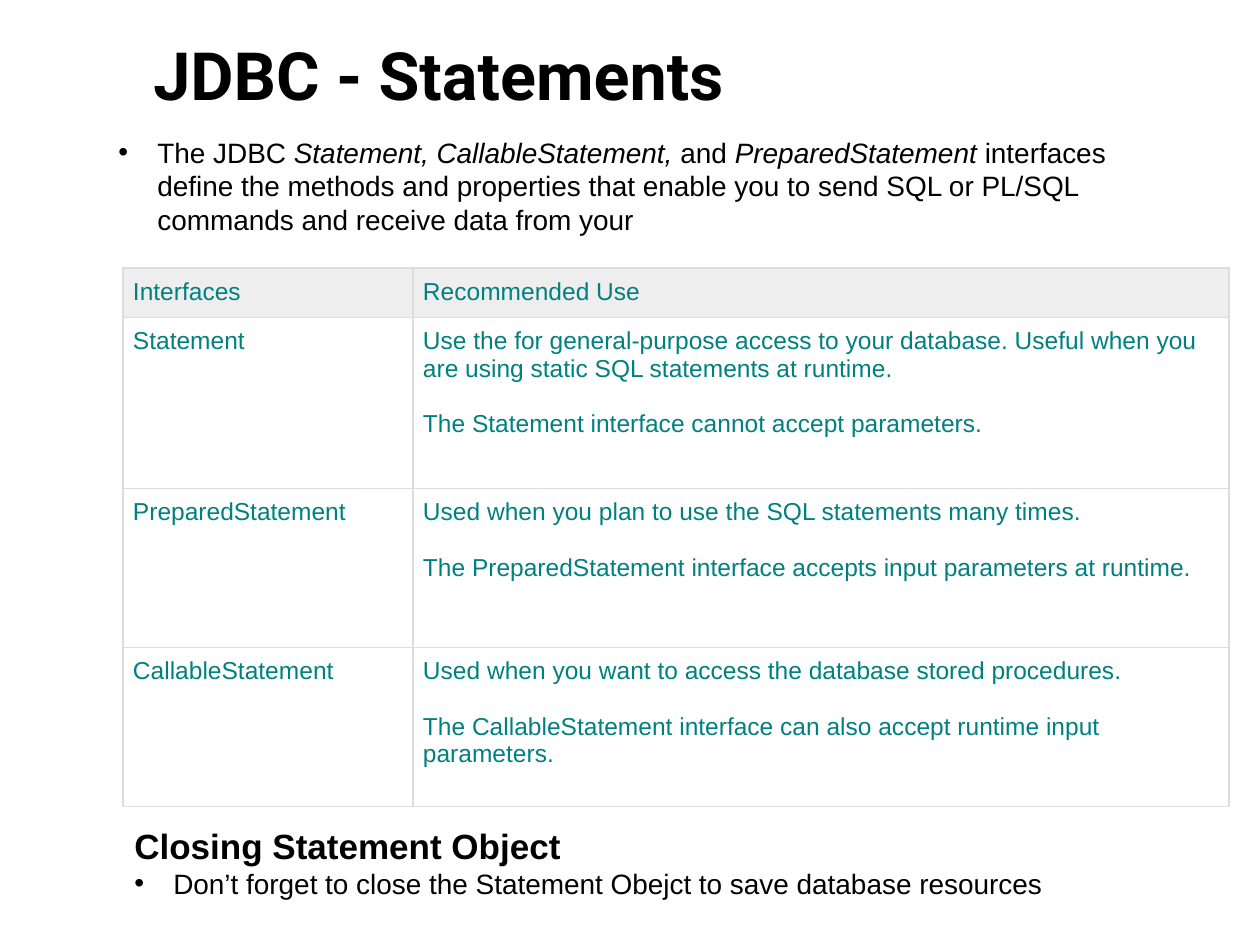
from lxml.etree import SubElement
from pptx import Presentation
from pptx.dml.color import RGBColor
from pptx.enum.text import MSO_ANCHOR
from pptx.oxml.ns import qn
from pptx.util import Pt

PX = 914400 / 126
COLORS = {"text": "000000", "cell": "008080", "head": "EEEEEE",
          "body": "FFFFFF", "rule": "DDDDDD"}

TITLE = "JDBC - Statements"
INTRO = [  # text, italic
    ("The JDBC ", False),
    ("Statement, CallableStatement,", True),
    (" and ", False),
    ("PreparedStatement", True),
    (" interfaces define the methods and properties that enable you to send "
     "SQL or PL/SQL commands and receive data from your", False),
]
ROWS = [  # interface, paragraphs on its use
    ("Interfaces", ["Recommended Use"]),
    ("Statement", [
        "Use the for general-purpose access to your database. "
        "Useful when you are using static SQL statements at runtime.",
        "The Statement interface cannot accept parameters."]),
    ("PreparedStatement", [
        "Used when you plan to use the SQL statements many times.",
        "The PreparedStatement interface accepts input parameters at runtime."]),
    ("CallableStatement", [
        "Used when you want to access the database stored procedures.",
        "The CallableStatement interface can also accept runtime input "
        "parameters."]),
]
CLOSING = "Closing Statement Object"
ADVICE = "Don’t forget to close the Statement Obejct to save database resources"

WIDTHS = [290, 816]
HEIGHTS = [49, 171, 159, 159]
TABLE_AT = (123, 268)
PAD = 10


def px(n):
    return round(n * PX)


def rgb(name):
    return RGBColor.from_string(COLORS[name])


def style(run, size, color="text", face="Arial", bold=False, italic=False):
    font = run.font
    font.name, font.size = face, Pt(size)
    font.bold, font.italic = bold, italic
    font.color.rgb = rgb(color)


def add_run(para, text, size, **look):
    run = para.add_run()
    run.text = text
    style(run, size, **look)


def bullet(para):
    props = para._p.get_or_add_pPr()
    props.set("marL", str(px(39)))
    props.set("indent", str(px(-39)))
    SubElement(props, qn("a:buFont"), typeface="Arial")
    SubElement(props, qn("a:buChar"), char="•")


def add_box(slide, *place):
    frame = slide.shapes.add_textbox(*map(px, place)).text_frame
    frame.word_wrap = True
    return frame


def add_borders(cell):
    props = cell._tc.get_or_add_tcPr()
    for i, side in enumerate(("a:lnL", "a:lnR", "a:lnT", "a:lnB")):
        line = props.makeelement(qn(side), {"w": str(Pt(0.75))})
        fill = SubElement(line, qn("a:solidFill"))
        SubElement(fill, qn("a:srgbClr"), val=COLORS["rule"])
        props.insert(i, line)


def fill_cell(cell, lines, color):
    cell.fill.solid()
    cell.fill.fore_color.rgb = rgb(color)
    cell.margin_left = cell.margin_right = px(PAD)
    cell.margin_top = cell.margin_bottom = px(PAD)
    cell.text_frame.text = "\n".join(lines)
    for i, para in enumerate(cell.text_frame.paragraphs):
        para.space_before = Pt(16 if i else 0)
        style(para.runs[0], 14, color="cell")
    add_borders(cell)


def add_grid(slide):
    table = slide.shapes.add_table(
        len(ROWS), len(WIDTHS), *map(px, TABLE_AT),
        px(sum(WIDTHS)), px(sum(HEIGHTS))).table
    table.horz_banding = False
    for col, width in zip(table.columns, WIDTHS):
        col.width = px(width)
    for i, (row, height) in enumerate(zip(table.rows, HEIGHTS)):
        row.height = px(height)
        name, uses = ROWS[i]
        for cell, lines in zip(row.cells, ([name], uses)):
            fill_cell(cell, lines, "body" if i else "head")


def main():
    deck = Presentation()
    deck.slide_width, deck.slide_height = px(1260), px(945)
    slide = deck.slides.add_slide(deck.slide_layouts[6])

    title = add_box(slide, 141, 23, 1119, 101)
    title.vertical_anchor = MSO_ANCHOR.MIDDLE
    add_run(title.paragraphs[0], TITLE, 38, face="Roboto", bold=True)

    intro = add_box(slide, 106, 129, 1070, 115).paragraphs[0]
    bullet(intro)
    for text, italic in INTRO:
        add_run(intro, text, 16, italic=italic)

    add_grid(slide)

    closing = add_box(slide, 122, 818, 1070, 89)
    add_run(closing.paragraphs[0], CLOSING, 20, bold=True)
    advice = closing.add_paragraph()
    bullet(advice)
    add_run(advice, ADVICE, 16)

    deck.save("out.pptx")


if __name__ == "__main__":
    main()
